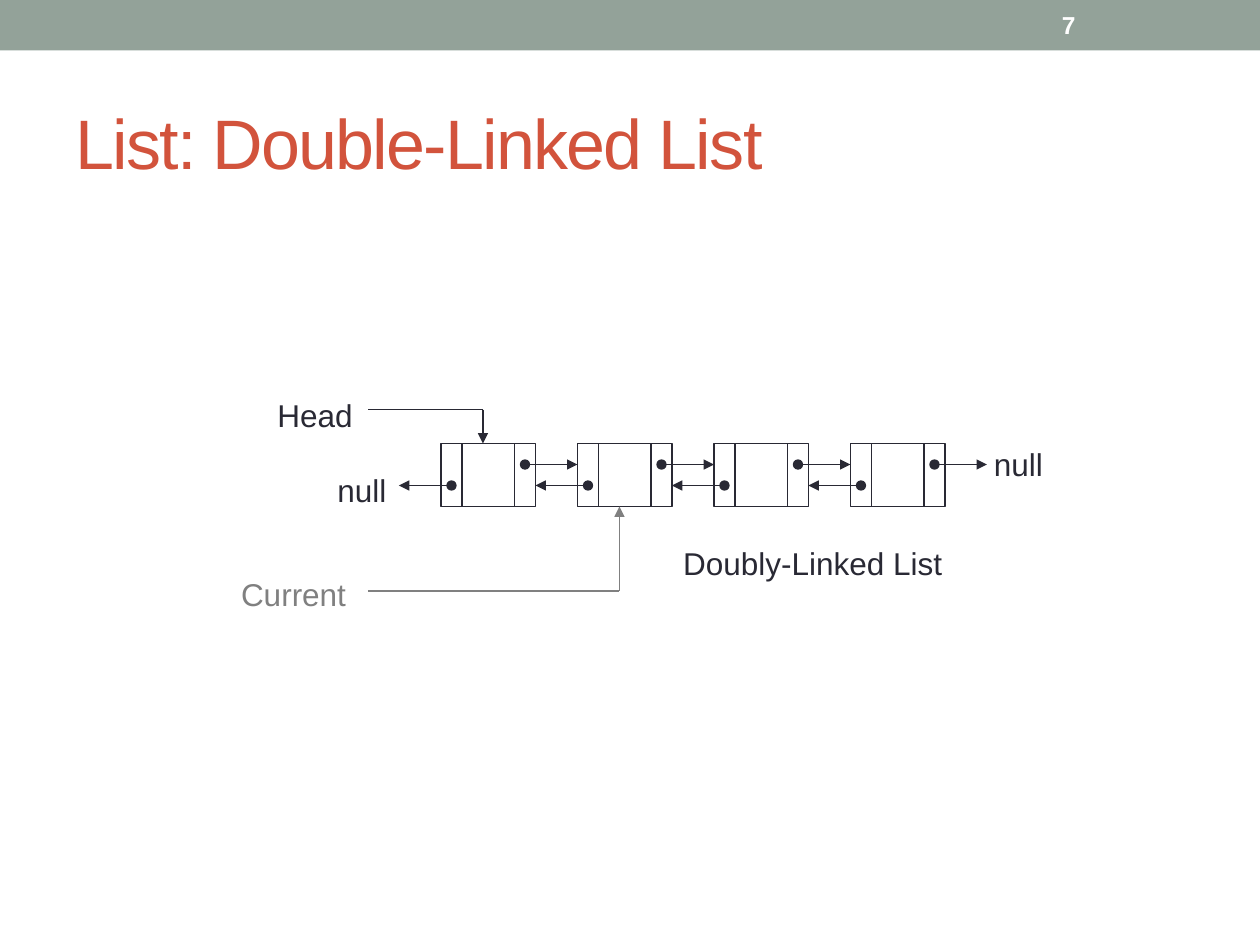
from dataclasses import dataclass

from lxml import etree
from pptx import Presentation
from pptx.dml.color import RGBColor
from pptx.enum import shapes, text
from pptx.oxml import ns
from pptx.util import Inches, Pt


@dataclass(frozen=True)
class Theme:
    band: RGBColor = RGBColor(0x93, 0xA2, 0x99)
    title: RGBColor = RGBColor(0xD2, 0x53, 0x3C)
    ink: RGBColor = RGBColor(0x29, 0x29, 0x34)
    muted: RGBColor = RGBColor(0x80, 0x80, 0x80)
    white: RGBColor = RGBColor(0xFF, 0xFF, 0xFF)
    font: str = "Arial"
    title_size: int = 40
    label_size: int = 18
    number_size: int = 14
    line: float = 0.75


THEME = Theme()
UNIT = 1 / 12          # inches; nodes and pointers sit on this grid
CELLS = (2, 5, 2)      # previous, data and next cells, in units
NODE_HEIGHT = 6
NODE_PITCH = 13
NODE_COUNT = 4


def add_label(slide, words, box, size=THEME.label_size, color=THEME.ink,
              align=text.PP_ALIGN.LEFT, anchor=text.MSO_ANCHOR.TOP, wrap=False,
              side_margin=0.1):
    label = slide.shapes.add_textbox(*map(Inches, box))
    frame = label.text_frame
    frame.word_wrap = wrap
    frame.vertical_anchor = anchor
    frame.margin_left = frame.margin_right = Inches(side_margin)
    paragraph = frame.paragraphs[0]
    paragraph.text = words
    paragraph.alignment = align
    paragraph.font.name = THEME.font
    paragraph.font.size = Pt(size)
    paragraph.font.color.rgb = color
    return paragraph


def add_rectangle(slide, box, fill=None, line=None):
    rectangle = slide.shapes.add_shape(shapes.MSO_SHAPE.RECTANGLE, *map(Inches, box))
    rectangle.shadow.inherit = False
    if fill is None:
        rectangle.fill.background()
    else:
        rectangle.fill.solid()
        rectangle.fill.fore_color.rgb = fill
    if line is None:
        rectangle.line.fill.background()
    else:
        rectangle.line.color.rgb = line
        rectangle.line.width = Pt(THEME.line)


def add_line(slide, start, end, color=THEME.ink, head=None, tail=None):
    """Draw a line; head is the mark at the start, tail the mark at the end."""
    line = slide.shapes.add_connector(
        shapes.MSO_CONNECTOR.STRAIGHT, *map(Inches, (*start, *end)))
    line.line.color.rgb = color
    line.line.width = Pt(THEME.line)
    outline = line.line._get_or_add_ln()
    for tag, mark in (("a:headEnd", head), ("a:tailEnd", tail)):
        if mark:
            etree.SubElement(outline, ns.qn(tag)).set("type", mark)
    etree.SubElement(line._element.spPr, ns.qn("a:effectLst"))


def add_header(slide, box):
    left, top, width, height = box
    add_rectangle(slide, box, fill=THEME.band)
    number = add_label(slide, "7", (left + 8.33, top + 0.02, 1.17, height - 0.04),
                       THEME.number_size, THEME.white,
                       anchor=text.MSO_ANCHOR.MIDDLE, wrap=True)
    number.font.bold = True


def add_title(slide, box):
    title = add_label(slide, "List: Double-Linked List", box, THEME.title_size,
                      THEME.title, anchor=text.MSO_ANCHOR.MIDDLE, wrap=True)
    title.runs[0].font._element.set("spc", "-100")


def add_node(slide, left, top):
    """Draw one node's three cells with its pointers to both neighbours."""
    cell_left = left
    for units in CELLS:
        add_rectangle(slide, (cell_left, top, units * UNIT, NODE_HEIGHT * UNIT),
                      line=THEME.ink)
        cell_left += units * UNIT

    next_y, previous_y = top + 2 * UNIT, top + 4 * UNIT
    add_line(slide, (left + 8 * UNIT, next_y), (left + 13 * UNIT, next_y),
             head="oval", tail="triangle")
    add_line(slide, (left - 4 * UNIT, previous_y), (left + UNIT, previous_y),
             head="triangle", tail="oval")


def add_linked_list(slide, box):
    left, top, width, height = box
    nodes_left, nodes_top = left + 1.67, top + 0.44
    nodes_bottom = nodes_top + NODE_HEIGHT * UNIT
    for index in range(NODE_COUNT):
        add_node(slide, nodes_left + index * NODE_PITCH * UNIT, nodes_top)

    center, middle = text.PP_ALIGN.CENTER, text.MSO_ANCHOR.MIDDLE
    add_label(slide, "Head", (left + 0.17, top, 1, 0.42), align=center,
              anchor=middle, side_margin=0)
    add_label(slide, "Current", (left, top + 1.42, 1, 0.42), color=THEME.muted,
              align=center, anchor=middle, side_margin=0)
    add_label(slide, "null", (left + 0.75, top + 0.61, 0.66, 0.4))
    add_label(slide, "null", (left + width - 0.66, top + 0.4, 0.66, 0.4))
    add_label(slide, "Doubly-Linked List", (left + 3.35, top + 1.19, 2.54, 0.4),
              align=center)

    labels_right = left + 1.09
    head_x = nodes_left + 4 * UNIT
    current_x = head_x + NODE_PITCH * UNIT
    head_y, current_y = top + 0.17, top + 1.61
    add_line(slide, (head_x, head_y), (labels_right, head_y))
    add_line(slide, (head_x, head_y), (head_x, nodes_top), tail="triangle")
    add_line(slide, (labels_right, current_y), (current_x, current_y), THEME.muted)
    add_line(slide, (current_x, current_y), (current_x, nodes_bottom), THEME.muted,
             tail="triangle")


def main():
    deck = Presentation()
    deck.slide_width, deck.slide_height = Inches(10), Inches(7.5)
    slide = deck.slides.add_slide(deck.slide_layouts[6])
    add_header(slide, (0, 0, 10, 0.4))
    add_title(slide, (0.5, 0.58, 9, 1.08))
    add_linked_list(slide, (1.83, 3.08, 6.62, 1.84))
    deck.save("out.pptx")


if __name__ == "__main__":
    main()
